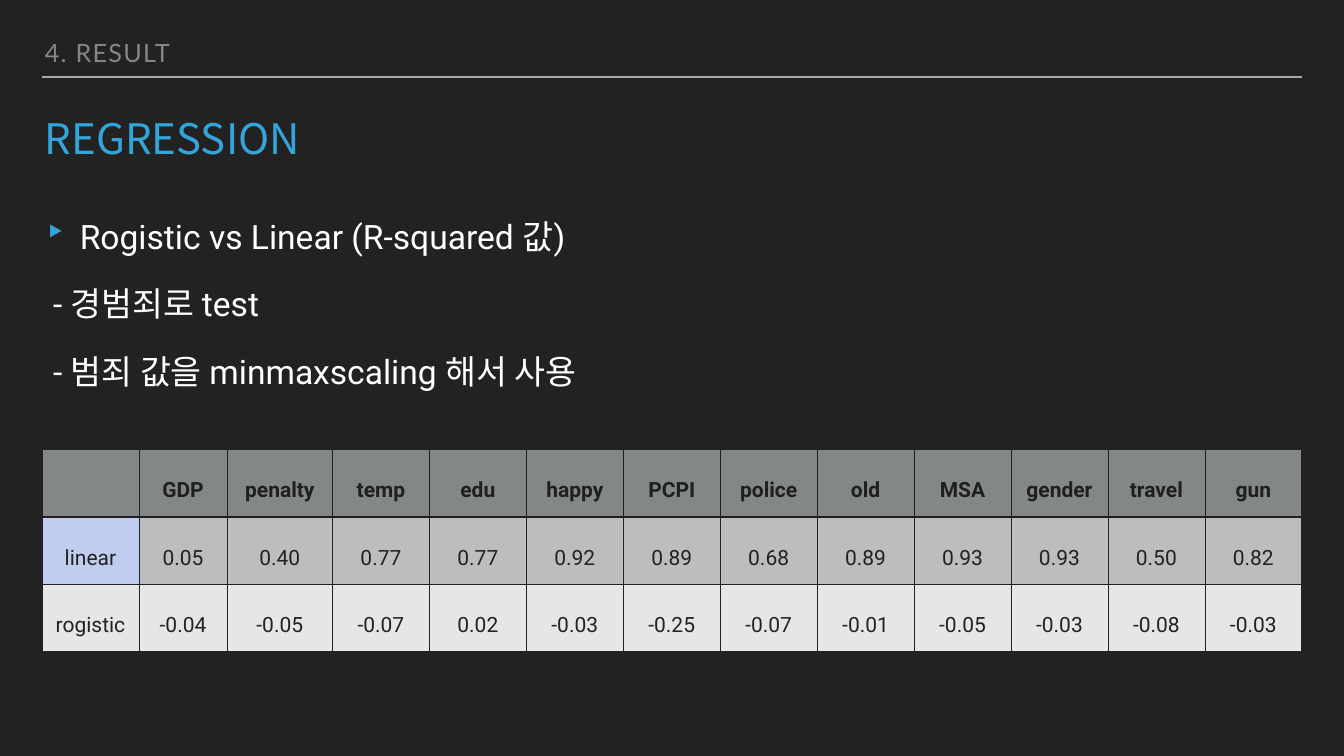
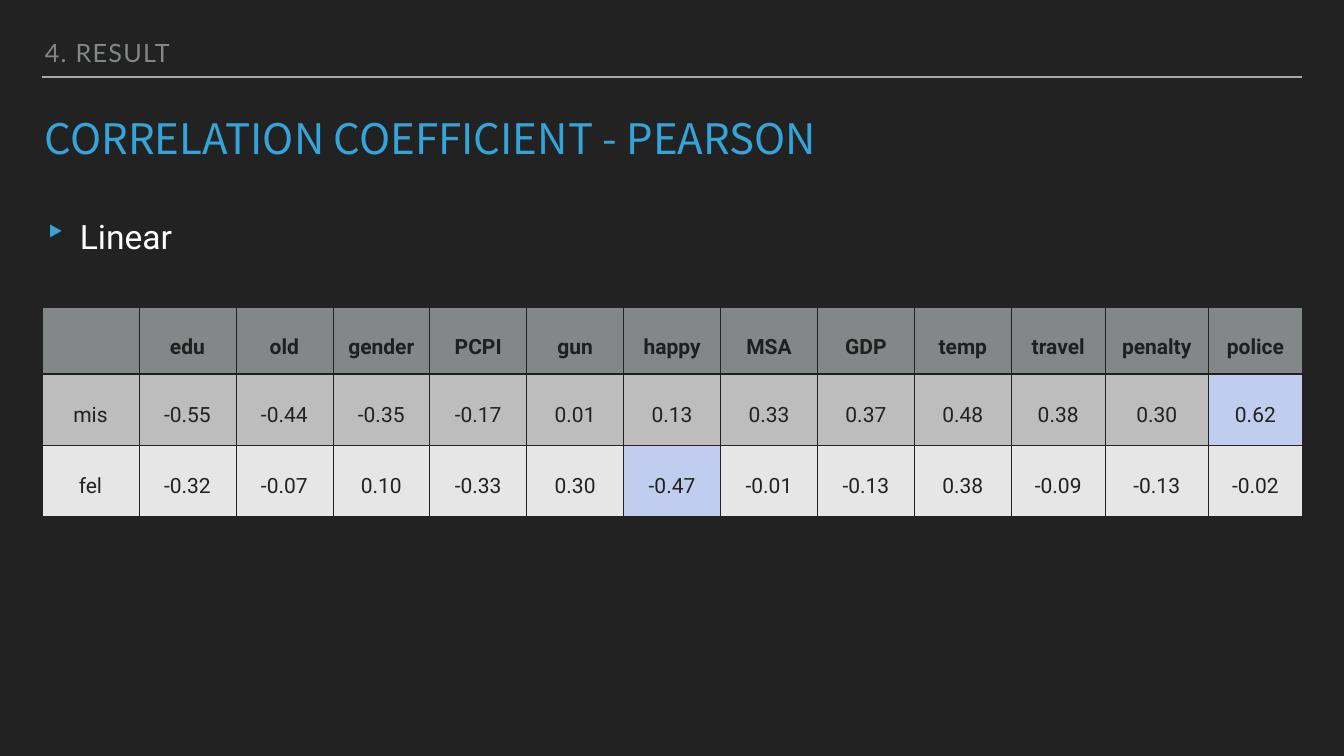
from lxml.etree import SubElement
from pptx import Presentation
from pptx.dml.color import RGBColor
from pptx.enum.shapes import MSO_CONNECTOR
from pptx.enum.text import MSO_ANCHOR as Anchor, PP_ALIGN as Align
from pptx.oxml.ns import qn
from pptx.util import Pt

BACKGROUND = RGBColor(0x22, 0x22, 0x22)
RULE = RGBColor(0xA6, 0xAA, 0xA9)
GREY = RGBColor(0x83, 0x87, 0x87)
ACCENT = RGBColor(0x34, 0xA5, 0xDA)
WHITE = RGBColor(0xFF, 0xFF, 0xFF)
HEADER_INK = RGBColor(0x1F, 0x1F, 0x1F)
BAND_DARK = RGBColor(0xBD, 0xBD, 0xBD)
BAND_LIGHT = RGBColor(0xE6, 0xE6, 0xE6)
HIGHLIGHT = RGBColor(0xC0, 0xCD, 0xEF)

BODY_FONT = "Roboto"
KOREAN_FONT = "Noto Sans CJK KR"
SECTION_FONT = "Lato"

LEFT = 60
CONTENT_WIDTH = 1800
COLUMN_WIDTH = 138.5
HEADER_HEIGHT = 96.5
THIN, HEADER_EDGE, OUTER = 1, 2.79, 3.15

REGRESSION_SCORES = [
    ["", "GDP", "penalty", "temp", "edu", "happy", "PCPI", "police", "old", "MSA",
     "gender", "travel", "gun"],
    ["linear", "0.05", "0.40", "0.77", "0.77", "0.92", "0.89", "0.68", "0.89", "0.93",
     "0.93", "0.50", "0.82"],
    ["rogistic", "-0.04", "-0.05", "-0.07", "0.02", "-0.03", "-0.25", "-0.07", "-0.01",
     "-0.05", "-0.03", "-0.08", "-0.03"],
]
PEARSON_SCORES = [
    ["", "edu", "old", "gender", "PCPI", "gun", "happy", "MSA", "GDP", "temp",
     "travel", "penalty", "police"],
    ["mis", "-0.55", "-0.44", "-0.35", "-0.17", "0.01", "0.13", "0.33", "0.37", "0.48",
     "0.38", "0.30", "0.62"],
    ["fel", "-0.32", "-0.07", "0.10", "-0.33", "0.30", "-0.47", "-0.01", "-0.13", "0.38",
     "-0.09", "-0.13", "-0.02"],
]


def write(paragraph, text, *, size, color, font=BODY_FONT, bold=False, align=None,
          before=None, line_spacing=None, tracking=None):
    """Put formatted text into a paragraph."""
    paragraph.alignment = align
    paragraph.line_spacing = line_spacing
    if before is not None:
        paragraph.space_before = Pt(before)
    run = paragraph.add_run()
    run.text = text
    run.font.size = Pt(size)
    run.font.bold = bold
    run.font.color.rgb = color
    run.font.name = font
    properties = run.font._element
    SubElement(properties, qn("a:ea"), typeface=KOREAN_FONT)
    if tracking:
        properties.set("spc", str(round(tracking * 100)))


def add_frame(slide, top, width, height, anchor=Anchor.TOP):
    """Add a wrapping text box at the left margin and return its text frame."""
    frame = slide.shapes.add_textbox(Pt(LEFT), Pt(top), Pt(width), Pt(height)).text_frame
    frame.word_wrap = True
    frame.vertical_anchor = anchor
    frame.margin_left = frame.margin_right = Pt(4)
    frame.margin_top = frame.margin_bottom = Pt(4)
    return frame


def add_bullet(paragraph):
    """Give a paragraph the accent-coloured triangle and a hanging indent."""
    properties = paragraph._p.get_or_add_pPr()
    properties.set("marL", str(Pt(50)))
    properties.set("indent", str(-Pt(50)))
    color = SubElement(properties, qn("a:buClr"))
    SubElement(color, qn("a:srgbClr"), val=str(ACCENT))
    SubElement(properties, qn("a:buSzPct"), val="105000")
    SubElement(properties, qn("a:buChar"), char="‣")


def add_rule(slide):
    """Draw the line below the section name."""
    rule = slide.shapes.add_connector(
        MSO_CONNECTOR.STRAIGHT, Pt(LEFT), Pt(110), Pt(LEFT + CONTENT_WIDTH), Pt(110))
    rule.line.color.rgb = RULE
    rule.line.width = Pt(2)
    SubElement(rule._element.spPr, qn("a:effectLst"))


def start_slide(deck, title):
    """Add a slide with the shared background, section name, rule and title."""
    slide = deck.slides.add_slide(deck.slide_layouts[6])
    slide.background.fill.solid()
    slide.background.fill.fore_color.rgb = BACKGROUND
    add_rule(slide)
    section = add_frame(slide, 57.5, 1650, 42.5, Anchor.BOTTOM)
    write(section.paragraphs[0], "4. RESULT", size=36, color=GREY, font=SECTION_FONT,
          line_spacing=0.8, tracking=1.8)
    heading = add_frame(slide, 170, CONTENT_WIDTH, 80)
    write(heading.paragraphs[0], title, size=60, color=ACCENT, font=KOREAN_FONT,
          before=26, line_spacing=0.8)
    return slide


def add_points(slide, height, lead, *details):
    """Add a bulleted lead line followed by plain detail lines."""
    frame = add_frame(slide, 304, CONTENT_WIDTH, height)
    for index, line in enumerate((lead, *details)):
        paragraph = frame.add_paragraph() if index else frame.paragraphs[0]
        write(paragraph, line, size=48, color=WHITE, before=39)
    add_bullet(frame.paragraphs[0])


def set_borders(cell, **edges):
    """Set cell borders from (width, colour) pairs keyed by L, R, T and B."""
    properties = cell._tc.get_or_add_tcPr()
    for index, side in enumerate("LRTB"):
        width, color = edges[side]
        border = SubElement(properties, qn(f"a:ln{side}"), w=str(Pt(width)))
        properties.remove(border)
        properties.insert(index, border)
        fill = SubElement(border, qn("a:solidFill"))
        SubElement(fill, qn("a:srgbClr"), val=str(color))


def add_scores(slide, scores, top, row_height, special_widths, highlights):
    """Add a score table with a header row, two bands and highlighted cells."""
    last_row, last_column = len(scores) - 1, len(scores[0]) - 1
    widths = [special_widths.get(i, COLUMN_WIDTH) for i in range(last_column + 1)]
    heights = [HEADER_HEIGHT] + [row_height] * last_row
    table = slide.shapes.add_table(last_row + 1, last_column + 1, Pt(LEFT), Pt(top),
                                   Pt(sum(widths)), Pt(sum(heights))).table
    table.horz_banding = False
    for column, width in zip(table.columns, widths):
        column.width = Pt(width)
    for row, height in zip(table.rows, heights):
        row.height = Pt(height)
    for r, values in enumerate(scores):
        header = r == 0
        band = (GREY, BAND_DARK, BAND_LIGHT)[r]
        for c, value in enumerate(values):
            cell = table.cell(r, c)
            cell.fill.solid()
            cell.fill.fore_color.rgb = HIGHLIGHT if (r, c) in highlights else band
            cell.margin_top = Pt(41)
            if value:
                write(cell.text_frame.paragraphs[0], value, size=30, bold=header,
                      color=HEADER_INK if header else BACKGROUND, align=Align.CENTER)
            bottom = OUTER if r == last_row else THIN
            set_borders(
                cell,
                L=(THIN if c else OUTER, BACKGROUND),
                R=(OUTER if c == last_column else THIN, BACKGROUND),
                T=(OUTER if header else THIN, BACKGROUND),
                B=(HEADER_EDGE, HEADER_INK) if header else (bottom, BACKGROUND))


def main():
    """Build and save the two result slides."""
    deck = Presentation()
    deck.slide_width, deck.slide_height = Pt(1920), Pt(1080)

    regression = start_slide(deck, "REGRESSION")
    add_points(regression, 676, "Rogistic vs Linear (R-squared 값)",
               " - 경범죄로 test", " - 범죄 값을 minmaxscaling 해서 사용")
    add_scores(regression, REGRESSION_SCORES, 642, 96.5, {1: 126, 2: 150.5}, {(1, 0)})

    pearson = start_slide(deck, "CORRELATION COEFFICIENT - PEARSON")
    add_points(pearson, 690, "Linear")
    add_scores(pearson, PEARSON_SCORES, 438, 102, {10: 134, 11: 147.5, 12: 134.5},
               {(1, 12), (2, 6)})

    deck.save("out.pptx")


if __name__ == "__main__":
    main()
